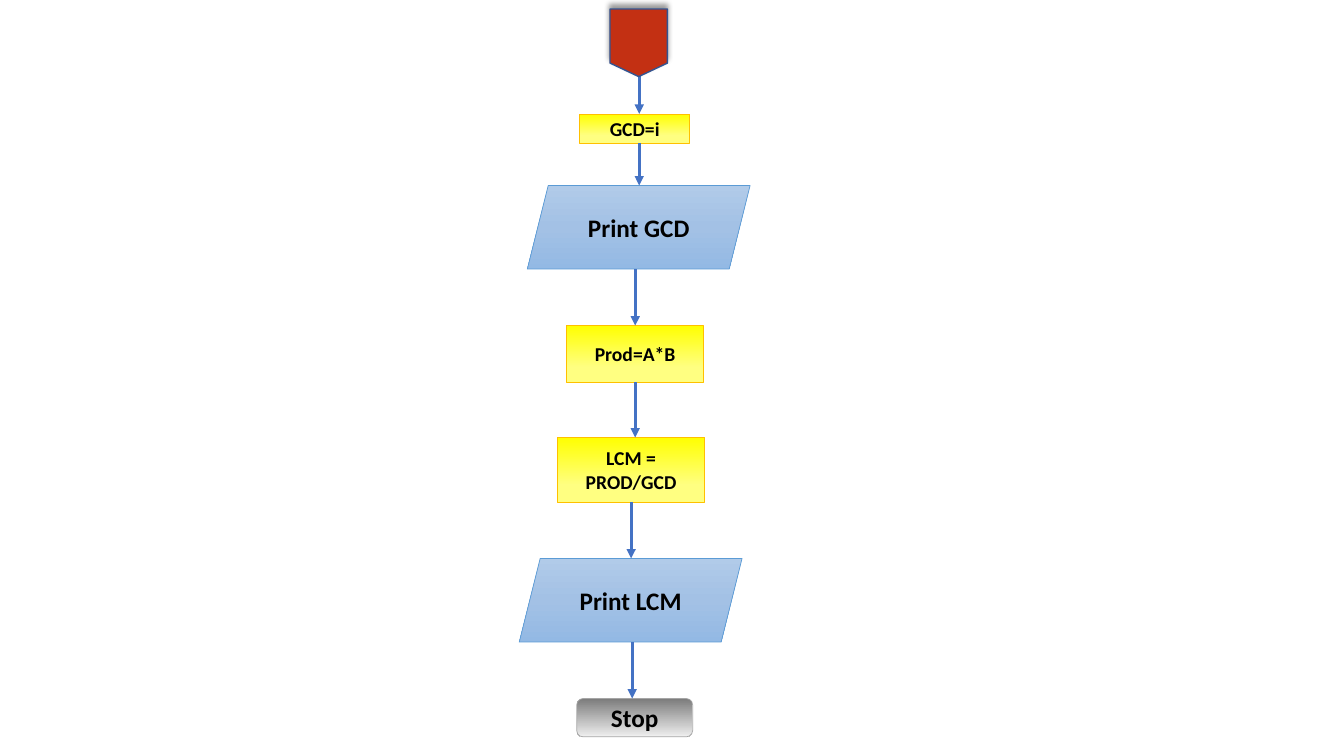
import pptx
import pptx.util
import pptx.dml.color
import pptx.enum.shapes
import pptx.enum.text
import pptx.oxml.ns
from lxml import etree

PX = 9144  # 100 px to the inch
FONT = "Calibri"
ARROW_COLOUR = "4472C4"
TOP, BOTTOM = 0, 2

KIND = pptx.enum.shapes.MSO_SHAPE
# preset, gradient stops (percent, colour), outline, text size
STYLES = {
    "step": (KIND.RECTANGLE, [(0, "FFFF00"), (74, "FFFF81"), (100, "FFFF81")], "FFC000", 14),
    "print": (KIND.PARALLELOGRAM, [(0, "B1CBE9"), (50, "A3C1E5"), (100, "93B9E4")], "5B9BD5", 18),
    "end": (KIND.ROUNDED_RECTANGLE, [(0, "7C7C7C"), (90, "E3E3E3"), (100, "F4F4F4")], "A5A5A5", 18),
}
# style, text, left, top, width, height
NODES = [
    ("step", "GCD=i", 575, 113, 109, 29),
    ("print", "Print GCD", 523, 184, 221, 83),
    ("step", "Prod=A*B", 562, 323, 136, 56),
    ("step", "LCM = PROD/GCD", 553, 434, 146, 64),
    ("print", "Print LCM", 515, 554, 221, 83),
    ("end", "Stop", 572, 693, 115, 38),
]
# x, from y, to y, node joined at the start, node joined at the end
ARROWS = [
    (634, 73, 113, None, None),
    (634, 142, 184, None, None),
    (630, 267, 323, None, "Prod=A*B"),
    (630, 379, 434, "Prod=A*B", None),
    (626, 498, 554, "LCM = PROD/GCD", None),
    (627, 637, 693, None, None),
]
ENTRY = (605, 9, 57, 67)
ENTRY_FILL, ENTRY_LINE = "C33013", "325491"


def rgb(colour):
    return pptx.dml.color.RGBColor.from_string(colour)


def add_element(parent, tag, **attributes):
    values = {name: str(value) for name, value in attributes.items()}
    return etree.SubElement(parent, pptx.oxml.ns.qn(tag), values)


def add_outlined(page, kind, box, line, points):
    shape = page.shapes.add_shape(kind, *(side * PX for side in box))
    shape.shadow.inherit = False
    shape.line.color.rgb = rgb(line)
    shape.line.width = pptx.util.Pt(points)
    return shape


def fill_downwards(shape, stops):
    """Fill with a gradient from top to bottom."""
    shape.fill.gradient()
    shape.fill.gradient_angle = 270
    stop_list = shape.element.spPr.find(".//" + pptx.oxml.ns.qn("a:gsLst"))
    for old in list(stop_list):
        stop_list.remove(old)
    for percent, colour in stops:
        stop = add_element(stop_list, "a:gs", pos=percent * 1000)
        add_element(stop, "a:srgbClr", val=colour)


def add_node(page, style, text, *box):
    kind, stops, line, size = STYLES[style]
    shape = add_outlined(page, kind, box, line, 0.5)
    fill_downwards(shape, stops)
    frame = shape.text_frame
    frame.word_wrap = True
    frame.vertical_anchor = pptx.enum.text.MSO_ANCHOR.MIDDLE
    para = frame.paragraphs[0]
    para.alignment = pptx.enum.text.PP_ALIGN.CENTER
    span = para.add_run()
    span.text = text
    span.font.name = FONT
    span.font.size = pptx.util.Pt(size)
    span.font.bold = True
    span.font.color.rgb = rgb("000000")
    return shape


def add_entry(page):
    """Add the off-page connector with its soft upward shadow."""
    shape = add_outlined(page, KIND.FLOWCHART_OFFPAGE_CONNECTOR, ENTRY, ENTRY_LINE, 1)
    shape.fill.solid()
    shape.fill.fore_color.rgb = rgb(ENTRY_FILL)
    effects = shape.element.spPr.find(pptx.oxml.ns.qn("a:effectLst"))
    shadow = add_element(effects, "a:outerShdw", blurRad=pptx.util.Pt(4),
                         dist=pptx.util.Pt(3), dir=270 * 60000, rotWithShape=0)
    colour = add_element(shadow, "a:srgbClr", val="000000")
    add_element(colour, "a:alpha", val=40000)


def add_arrow(page, nodes, x, start, end, source, target):
    arrow = page.shapes.add_connector(pptx.enum.shapes.MSO_CONNECTOR.STRAIGHT,
                                      x * PX, start * PX, x * PX, end * PX)
    if source:
        arrow.begin_connect(nodes[source], BOTTOM)
    if target:
        arrow.end_connect(nodes[target], TOP)
    arrow.line.color.rgb = rgb(ARROW_COLOUR)
    arrow.line.width = pptx.util.Pt(2.25)
    add_element(arrow.line._get_or_add_ln(), "a:tailEnd", type="triangle")
    add_element(arrow.element.spPr, "a:effectLst")


def main():
    deck = pptx.Presentation()
    deck.slide_width, deck.slide_height = 1333 * PX, 750 * PX
    page = deck.slides.add_slide(deck.slide_layouts[6])
    nodes = {node[1]: add_node(page, *node) for node in NODES}
    for arrow in ARROWS:
        add_arrow(page, nodes, *arrow)
    add_entry(page)
    deck.save("out.pptx")


if __name__ == "__main__":
    main()
